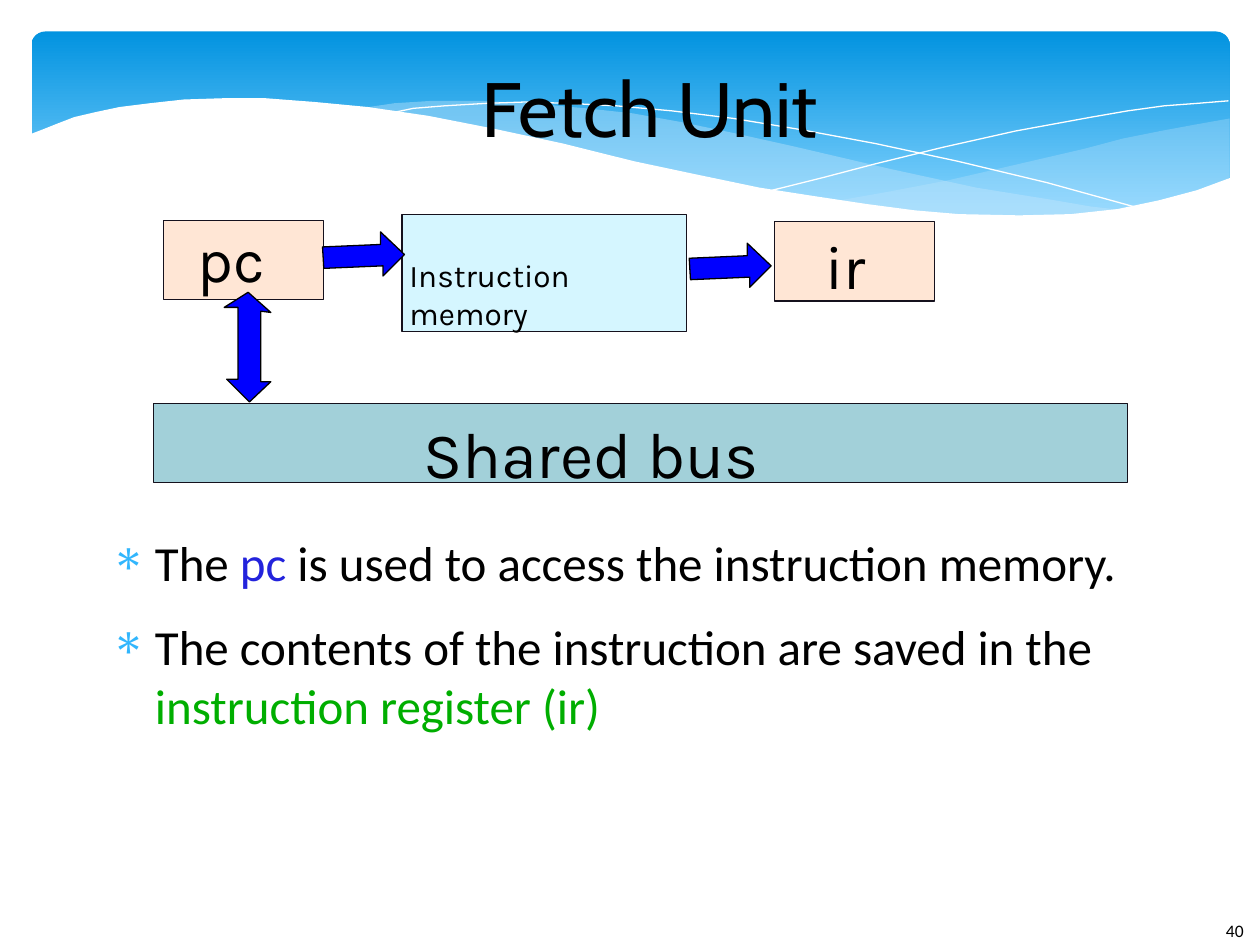
from lxml import etree
from pptx import Presentation
from pptx.dml.color import RGBColor
from pptx.enum import shapes, text
from pptx.oxml import ns
from pptx.util import Inches, Pt

COLORS = {
    "black": "000000", "white": "FFFFFF", "edge": "15111D", "arrow": "0000FF",
    "sky": "0293E0", "pale_sky": "83D3FE", "band": "C6E7FC",
    "bus": "A2D0D9", "register": "FFE6D5", "memory": "D5F6FF",
    "bullet": "31B6FD", "pc": "2323DC", "ir": "00AE00",
}
RGB = {name: RGBColor.from_string(value) for name, value in COLORS.items()}


def write(p, content, font="Calibri", size=28, color="black"):
    r = p.add_run()
    r.text = content
    r.font.name = font
    r.font.size = Pt(size)
    r.font.color.rgb = RGB[color]


def outline(points, fill=None, line=None, alpha=None):
    """Draw a freeform through points in inches; it is closed when filled."""
    points = [(Inches(x), Inches(y)) for x, y in points]
    builder = s.shapes.build_freeform(*points[0])
    builder.add_line_segments(points[1:], close=fill is not None)
    sp = builder.convert_to_shape()
    sp.shadow.inherit = False
    if fill:
        sp.fill.solid()
        sp.fill.fore_color.rgb = RGB[fill]
    else:
        sp.fill.background()
    if alpha:
        color = sp.element.spPr.find(".//" + ns.qn("a:srgbClr"))
        etree.SubElement(color, ns.qn("a:alpha"), val=str(alpha * 1000))
    if line:
        sp.line.color.rgb = RGB[line]
        sp.line.width = Pt(0)
    else:
        sp.line.fill.background()


prs = Presentation()
prs.slide_width, prs.slide_height = Inches(10), Inches(7.5)
s = prs.slides.add_slide(prs.slide_layouts[5])

# Blue header with waves
header = s.shapes.add_shape(shapes.MSO_SHAPE.ROUNDED_RECTANGLE,
                            Inches(0.25), Inches(0.25), Inches(9.51), Inches(1.56))
header.adjustments[0] = 0.07
header.shadow.inherit = False
header.line.fill.background()
header.fill.gradient()
header.fill.gradient_angle = 270
for stop, (position, color) in zip(header.fill.gradient_stops,
                                   [(0, "sky"), (0.9, "pale_sky")]):
    stop.position = position
    stop.color.rgb = RGB[color]

right_band = [
    (9.76, 0.94), (9.48, 0.99), (9.21, 1.04), (8.91, 1.1), (8.61, 1.18), (8.05, 1.31),
    (7.53, 1.43), (7.06, 1.52), (6.61, 1.6), (6.91, 1.64), (7.32, 1.68), (7.69, 1.71),
    (8.03, 1.72), (8.35, 1.72), (8.63, 1.7), (8.89, 1.66), (9.13, 1.62), (9.35, 1.56),
    (9.63, 1.47), (9.76, 1.41)]
long_band = [
    (8.93, 1.67), (8.66, 1.64), (8.37, 1.59), (7.75, 1.49), (7.06, 1.34), (6.29, 1.16),
    (5.84, 1.06), (5.41, 0.97), (5.02, 0.9), (4.65, 0.86), (4.2, 0.82), (3.8, 0.8),
    (3.44, 0.8), (3.13, 0.82), (2.86, 0.86), (3.23, 0.9), (3.62, 0.97), (4.04, 1.06),
    (4.49, 1.16), (5.3, 1.35), (5.84, 1.46), (6.34, 1.56), (6.8, 1.63), (7.22, 1.68),
    (7.61, 1.71), (7.96, 1.73), (8.28, 1.73), (8.57, 1.71)]
falling_line = [
    (3.09, 0.9), (3.28, 0.86), (3.53, 0.84), (3.87, 0.82), (4.16, 0.81), (4.5, 0.82),
    (4.89, 0.84), (5.33, 0.88), (5.82, 0.94), (6.36, 1.03), (6.95, 1.14), (7.6, 1.28),
    (8.31, 1.45), (9.07, 1.66)]
rising_line = [
    (6.13, 1.51), (6.53, 1.41), (6.95, 1.3), (7.48, 1.17), (8.06, 1.04), (8.66, 0.93),
    (8.95, 0.88), (9.24, 0.84), (9.51, 0.82), (9.75, 0.8)]
white_sweep = [
    (9.77, 1.41), (9.5, 1.51), (9.2, 1.59), (8.87, 1.66), (8.5, 1.7), (8.09, 1.71),
    (7.61, 1.7), (7.26, 1.67), (6.88, 1.62), (6.48, 1.56), (6.03, 1.49), (5.55, 1.39),
    (5.03, 1.28), (4.47, 1.14), (3.91, 1.02), (3.4, 0.92), (2.92, 0.85), (2.5, 0.81),
    (2.11, 0.78), (1.77, 0.78), (1.46, 0.79), (1.19, 0.82), (0.95, 0.85), (0.76, 0.89),
    (0.59, 0.93), (0.46, 0.98), (0.36, 1.02), (0.23, 1.07), (0.23, 2.24), (9.77, 2.24)]
outline(right_band, fill="band", alpha=29)
outline(long_band, fill="band", alpha=40)
outline(falling_line, line="white")
outline(rising_line, line="white")
outline(white_sweep, fill="white")

# Title, brought in front of the header
title = s.shapes.title
s.shapes.element.append(title.element)
title.left, title.top, title.width, title.height = map(Inches, (1.1, 0.34, 8.11, 1.02))
tf = title.text_frame
tf.margin_left = tf.margin_right = tf.margin_top = tf.margin_bottom = 0
tf.vertical_anchor = text.MSO_ANCHOR.MIDDLE
tf.paragraphs[0].alignment = text.PP_ALIGN.CENTER
write(tf.paragraphs[0], "Fetch Unit", font="Cabin", size=44)

# Blocks of the fetch unit
for left, top, width, height, color in [
        (1.22, 3.2, 7.73, 0.63, "bus"),
        (1.3, 1.75, 1.27, 0.63, "register"),
        (6.15, 1.76, 1.27, 0.63, "register"),
        (3.19, 1.7, 2.26, 0.93, "memory")]:
    block = s.shapes.add_shape(shapes.MSO_SHAPE.RECTANGLE, Inches(left), Inches(top),
                               Inches(width), Inches(height))
    block.shadow.inherit = False
    block.fill.solid()
    block.fill.fore_color.rgb = RGB[color]
    block.line.color.rgb = RGB["edge"]
    block.line.width = Pt(0)

# Block arrows: pc to bus, pc to memory, memory to ir
outline([(2.15, 2.48), (1.97, 2.32), (1.78, 2.44), (1.89, 2.44), (1.89, 3.01), (1.8, 3.01),
         (1.98, 3.19), (2.15, 3.03), (2.07, 3.03), (2.07, 2.47)],
        fill="arrow", line="black")
right_arrow = [(0.01, 0.29), (0, 0.12), (0.46, 0.1), (0.46, 0), (0.65, 0.18),
               (0.48, 0.35), (0.48, 0.27)]
for left, top in [(2.56, 1.84), (5.47, 1.93)]:
    outline([(left + x, top + y) for x, y in right_arrow], fill="arrow", line="black")

# Text boxes: block labels, bullets and page number
label = {"font": "Karla", "size": 35}
bullets = [
    [("The ", {}), ("pc ", {"color": "pc"}),
     ("is used to access the instruction memory.", {})],
    [("The contents of the instruction are saved in the ", {}),
     ("instruction register (ir)", {"color": "ir"})],
]
for left, top, width, height, paragraphs in [
        (3.36, 3.28, 2.86, 0.68, [[("Shared bus", {"font": "Karla", "size": 37})]]),
        (1.57, 1.76, 0.75, 0.66, [[("pc", label)]]),
        (6.55, 1.81, 0.5, 0.66, [[("ir", label)]]),
        (3.25, 2.03, 2, 0.62, [[("Instruction memory", {"font": "Karla", "size": 18})]]),
        (0.76, 4.23, 8.58, 1.87, bullets),
        (9.73, 7.3, 0.25, 0.18, [[("40", {"size": 10})]])]:
    tf = s.shapes.add_textbox(Inches(left), Inches(top), Inches(width),
                              Inches(height)).text_frame
    tf.word_wrap = True
    tf.margin_left = tf.margin_right = tf.margin_top = tf.margin_bottom = 0
    for i, runs in enumerate(paragraphs):
        p = tf.add_paragraph() if i else tf.paragraphs[0]
        for content, style in runs:
            write(p, content, **style)
        if paragraphs is bullets:
            p.space_after = Pt(14.1)
            pPr = p._p.get_or_add_pPr()
            pPr.set("marL", str(Inches(0.47)))
            pPr.set("indent", str(Inches(-0.35)))
            color = etree.SubElement(pPr, ns.qn("a:buClr"))
            etree.SubElement(color, ns.qn("a:srgbClr"), val=COLORS["bullet"])
            etree.SubElement(pPr, ns.qn("a:buFont"), typeface="Symbol")
            etree.SubElement(pPr, ns.qn("a:buChar"), char="∗")

prs.save("out.pptx")
